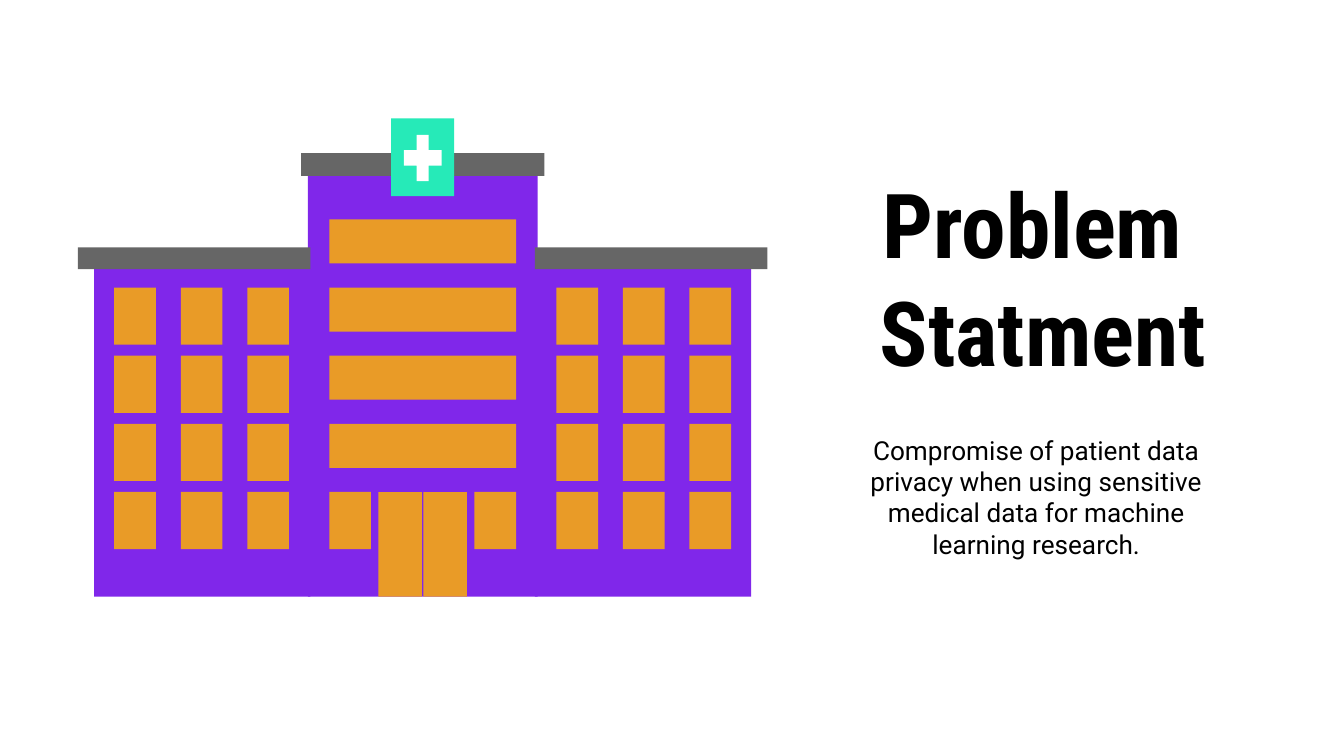
from dataclasses import dataclass

from pptx import Presentation
from pptx.dml.color import RGBColor
from pptx.enum.shapes import MSO_SHAPE as Shape
from pptx.enum.text import MSO_ANCHOR as Anchor, PP_ALIGN as Align
from pptx.shapes.shapetree import GroupShapes
from pptx.slide import Slide
from pptx.util import Emu, Inches, Pt

COLORS = {
    "wall": "8027EA",
    "roof": "666666",
    "window": "E99B27",
    "sign": "26EAB8",
    "cross": "FFFFFF",
    "text": "000000",
}

# Grid of 100 columns by 56.25 square rows
SLIDE_WIDTH, SLIDE_HEIGHT = Inches(10), Inches(5.625)
CELL = SLIDE_WIDTH / 100

AXIS = 31.45  # the hospital is symmetrical about this column
GROUND = 44.4
WINDOW_LEFT, WINDOW_TOP = 8.5, 21.4
WINDOW_WIDTH, WINDOW_HEIGHT = 3.1, 4.25
COLUMN_STEP, FLOOR_STEP = 4.95, 5.07
FLOORS, WINDOWS_PER_FLOOR = 4, 3


@dataclass(frozen=True)
class Block:
    """A filled rectangle, measured in grid columns and rows."""
    left: float
    top: float
    width: float
    height: float
    color: str

    def mirrored(self) -> "Block":
        return Block(2 * AXIS - self.left - self.width, self.top,
                     self.width, self.height, self.color)


@dataclass(frozen=True)
class Label:
    left: float
    top: float
    width: float
    height: float
    lines: tuple[str, ...]
    font: str
    size: int
    bold: bool = False
    anchor: Anchor = Anchor.TOP
    vertical_inset: float = 0.5


def grid(cells: float) -> Emu:
    return Emu(round(cells * CELL))


def color_of(name: str) -> RGBColor:
    return RGBColor.from_string(COLORS[name])


def centered(top: float, width: float, height: float, color: str) -> Block:
    return Block(AXIS - width / 2, top, width, height, color)


def floor_top(floor: int) -> float:
    return WINDOW_TOP + floor * FLOOR_STEP


def paint(shape, color: str) -> None:
    shape.shadow.inherit = False
    shape.fill.solid()
    shape.fill.fore_color.rgb = color_of(color)
    shape.line.fill.background()


def draw_block(shapes: GroupShapes, block: Block) -> None:
    shape = shapes.add_shape(Shape.RECTANGLE, grid(block.left), grid(block.top),
                             grid(block.width), grid(block.height))
    paint(shape, block.color)


def draw_cross(shapes: GroupShapes, middle: float) -> None:
    """Draw the cross from one quarter, which is reflected four ways."""
    quarter = [(0.45, 1.72), (0.45, 0.58), (1.4, 0.58)]
    half = quarter + [(x, -y) for x, y in reversed(quarter)]
    outline = half + [(-x, -y) for x, y in half]
    points = [(grid(AXIS + x), grid(middle + y)) for x, y in outline]
    builder = shapes.build_freeform(*points[0])
    builder.add_line_segments(points[1:], close=True)
    paint(builder.convert_to_shape(), "cross")


def draw_label(slide: Slide, label: Label) -> None:
    box = slide.shapes.add_textbox(grid(label.left), grid(label.top),
                                   grid(label.width), grid(label.height))
    frame = box.text_frame
    frame.word_wrap = True
    frame.vertical_anchor = label.anchor
    frame.margin_left = frame.margin_right = grid(1)
    frame.margin_top = frame.margin_bottom = grid(label.vertical_inset)
    paragraph = frame.paragraphs[0]
    paragraph.alignment = Align.CENTER
    for index, line in enumerate(label.lines):
        if index:
            paragraph.add_line_break()
        run = paragraph.add_run()
        run.text = line
        run.font.name = label.font
        run.font.size = Pt(label.size)
        run.font.bold = label.bold
        run.font.color.rgb = color_of("text")


def wing_blocks() -> list[Block]:
    """The left wing; the right one is its mirror image."""
    wall = Block(7, 20, 16.1, GROUND - 20, "wall")
    roof = Block(5.8, 18.4, 17.3, 1.63, "roof")
    windows = [
        Block(WINDOW_LEFT + column * COLUMN_STEP, floor_top(floor),
              WINDOW_WIDTH, WINDOW_HEIGHT, "window")
        for floor in range(FLOORS) for column in range(WINDOWS_PER_FLOOR)
    ]
    return [wall, roof, *windows]


def draw_hospital(slide: Slide) -> None:
    shapes = slide.shapes.add_group_shape().shapes
    tower = [centered(13.1, 17.1, GROUND - 13.1, "wall"),
             centered(11.4, 18.1, 1.7, "roof")]
    wing = wing_blocks()
    sign = centered(8.8, 4.7, 5.8, "sign")
    bands = [centered(floor_top(floor), 13.9, 3.27, "window")
             for floor in range(-1, FLOORS - 1)]
    entrance_top = floor_top(FLOORS - 1)
    side_window = Block(24.5, entrance_top, WINDOW_WIDTH, WINDOW_HEIGHT, "window")
    door = Block(28.15, entrance_top, 3.25, GROUND - entrance_top, "window")
    entrance = [side_window, side_window.mirrored(), door, door.mirrored()]

    for block in [*tower, *wing, *(part.mirrored() for part in wing),
                  sign, *bands, *entrance]:
        draw_block(shapes, block)
    draw_cross(shapes, sign.top + sign.height / 2 + 0.05)


def main() -> None:
    presentation = Presentation()
    presentation.slide_width, presentation.slide_height = SLIDE_WIDTH, SLIDE_HEIGHT
    slide = presentation.slides.add_slide(presentation.slide_layouts[6])
    draw_hospital(slide)
    draw_label(slide, Label(60, 12.7, 35.2, 15.8, ("Problem ", "Statment"),
                            "Roboto Condensed", 48, bold=True,
                            anchor=Anchor.MIDDLE, vertical_inset=1))
    draw_label(slide, Label(61.7, 31.8, 30.8, 10.4,
                            ("Compromise of patient data privacy when using sensitive "
                             "medical data for machine learning research.",),
                            "Roboto", 14))
    presentation.save("out.pptx")


if __name__ == "__main__":
    main()
